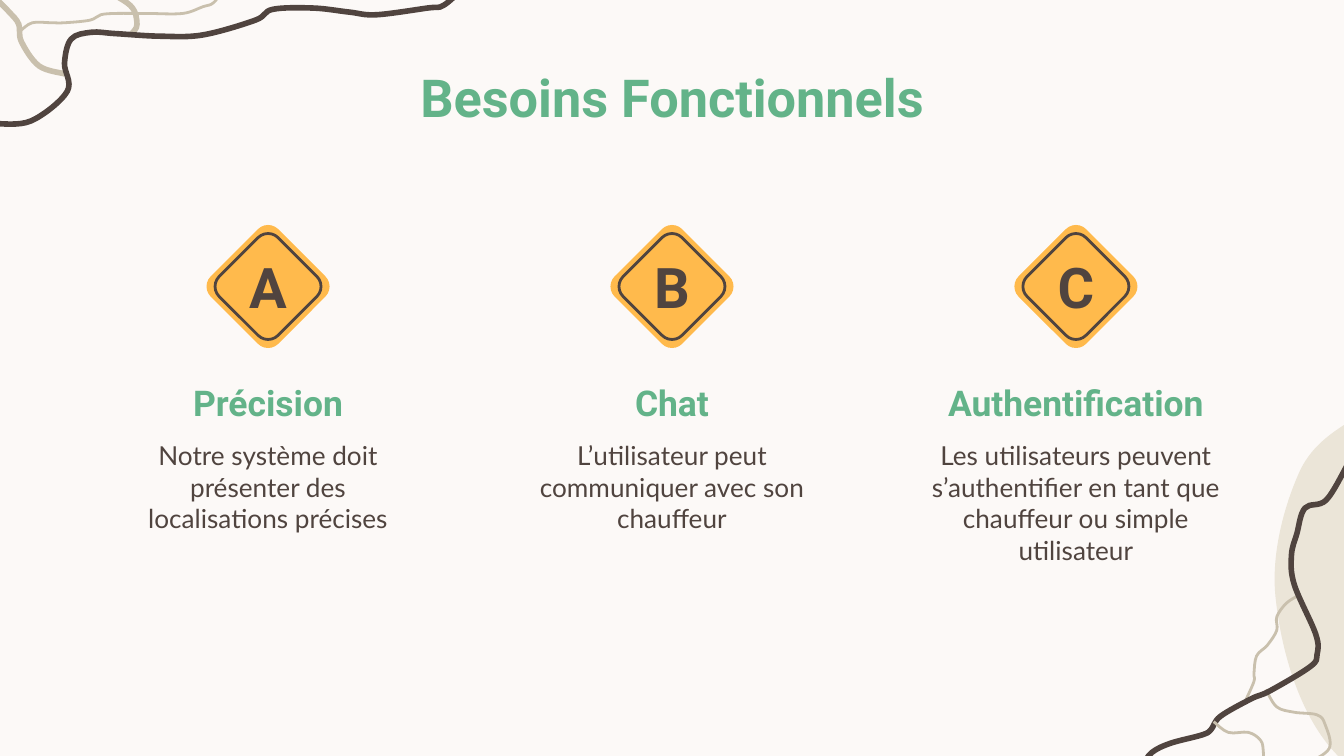
from dataclasses import dataclass

from lxml.etree import SubElement
from pptx import Presentation
from pptx.dml.color import RGBColor
from pptx.enum.shapes import MSO_SHAPE
from pptx.enum.text import MSO_ANCHOR, PP_ALIGN
from pptx.oxml.ns import qn
from pptx.util import Pt


@dataclass(frozen=True)
class Theme:
    paper: str = "FCF9F7"
    sand: str = "EBE5D8"
    taupe: str = "C9C0AD"
    brown: str = "50443F"
    green: str = "63B389"
    amber: str = "FFBA4C"
    display: str = "Roboto"
    text: str = "Lato"
    title_size: float = 28
    letter_size: float = 30
    heading_size: float = 19
    body_size: float = 14
    thick: float = 3
    thin: float = 1.5


THEME = Theme()
CENTRE_X, COLUMN_STEP = 360, 216.4
SIGN_Y = 153.5

NEEDS = [
    ("A", "Précision", "Notre système doit présenter des localisations précises"),
    ("B", "Chat", "L’utilisateur peut communiquer avec son chauffeur"),
    ("C", "Authentification",
     "Les utilisateurs peuvent s’authentifier en tant que chauffeur ou simple utilisateur"),
]

BLOB = [
    (764.6, 217.4), (751.7, 216.7), (727.2, 223.2), (696.2, 252.7), (683.3, 319.7),
    (711.4, 398.9), (789.8, 453.6), (825.8, 463.7), (914.4, 457.2), (975.6, 406.8),
    (1003.7, 347), (986.4, 289.4), (970.6, 283), (939.6, 288), (899.3, 335.5),
    (869, 352.8), (856.1, 352.8), (836.6, 341.3), (825.8, 293), (805.7, 242.6),
]

# Each strand: colour, width, points it passes through
STRANDS = [
    (THEME.taupe, THEME.thick, [(70.6, 18), (73.4, 13), (69.8, 2.9), (52.6, -7.2)]),
    (THEME.taupe, THEME.thin, [
        (678.2, 369.4), (684, 378.7), (693.4, 381.6), (705.6, 383), (709.9, 388.1),
        (712.1, 401), (699.1, 409.7)]),
    (THEME.taupe, THEME.thin, [
        (695.5, 319), (689, 323.3), (684, 330.5), (684, 337.7), (679, 345.6),
        (673.2, 351.4), (671.8, 360.7), (671.8, 365), (667.4, 375.1)]),
    (THEME.brown, THEME.thick, [
        (722.2, 248.4), (710.6, 267.8), (699.1, 272.2), (694.8, 285.8), (691.9, 297.4),
        (693.4, 313.2), (704.9, 339.8), (705.6, 350.6), (702, 357.1), (680.4, 370.1),
        (670.3, 374.4), (653.8, 383.8), (648.7, 391), (643.7, 393.8), (627.1, 398.2),
        (617, 403.2), (612, 410.4)]),
    (THEME.taupe, THEME.thin, [
        (650.2, 386.6), (658.1, 392.4), (668.9, 392.4), (675.4, 396.7), (676.8, 402.5),
        (676.8, 409.7)]),
    (THEME.taupe, THEME.thick, [
        (34.6, 39.6), (20.9, 35.3), (11.5, 22.3), (10.1, 13), (5, 6.5), (-2.2, -0.7)]),
    (THEME.brown, THEME.thick, [
        (-3.6, 66.2), (16.6, 64.8), (36, 49), (34.6, 33.8), (38.2, 20.9), (49, 17.3),
        (61.9, 18), (85.7, 19.4), (108.7, 18.7), (136.8, 10.8), (146.2, 5), (167.8, 4.3),
        (187.2, 6.5), (201.6, 7.9), (229, 4.3), (237.6, 2.9), (248.4, -6.5)]),
    (THEME.taupe, THEME.thin, [
        (10.8, 16.6), (17.3, 12.2), (27.4, 12.2), (34.6, 12.2), (48.2, 10.8), (54, 7.9),
        (61.9, 7.2), (73.4, 7.2), (79.9, 7.2), (97.9, 7.2), (108.7, 3.6), (114.5, 1.4),
        (120.2, -6.5)]),
]


def colour(code):
    return RGBColor.from_string(code)


def bend_segments(shape, points, closed):
    """Turn the straight segments of a freeform into smooth Bézier curves."""
    local = [(x - shape.left, y - shape.top) for x, y in points]
    if closed:
        nodes = [local[-1], *local, *local[:2]]
    else:
        nodes = [local[0], *local, local[-1]]
    segments = list(shape._element.iter(qn("a:lnTo")))
    for segment, before, start, end, after in zip(
            segments, nodes, nodes[1:], nodes[2:], nodes[3:]):
        leave = [s + (e - b) / 6 for b, s, e in zip(before, start, end)]
        arrive = [e - (a - s) / 6 for s, e, a in zip(start, end, after)]
        curve = segment.getparent().makeelement(qn("a:cubicBezTo"))
        for x, y in (leave, arrive, end):
            SubElement(curve, qn("a:pt"), x=str(round(x)), y=str(round(y)))
        segment.getparent().replace(segment, curve)


def style(shape, fill=None, line=None, width=THEME.thin):
    shape.shadow.inherit = False
    if fill:
        shape.fill.solid()
        shape.fill.fore_color.rgb = colour(fill)
    else:
        shape.fill.background()
    if line:
        shape.line.color.rgb = colour(line)
        shape.line.width = Pt(width)
    else:
        shape.line.fill.background()


def add_curve(page, points, closed=False, **look):
    points = [(Pt(x), Pt(y)) for x, y in points]
    builder = page.shapes.build_freeform(*points[0])
    builder.add_line_segments(points[1:] + points[:1] * closed, close=closed)
    shape = builder.convert_to_shape()
    bend_segments(shape, points, closed)
    style(shape, **look)


def add_diamond(page, centre_x, side, corner, **look):
    diamond = page.shapes.add_shape(
        MSO_SHAPE.ROUNDED_RECTANGLE, Pt(centre_x - side / 2), Pt(SIGN_Y - side / 2),
        Pt(side), Pt(side))
    diamond.adjustments[0] = corner
    diamond.rotation = 45
    style(diamond, **look)


def add_text(page, text, centre_x, top, width, height, size, ink,
             font=THEME.display, bold=True, anchor=MSO_ANCHOR.MIDDLE):
    box = page.shapes.add_textbox(Pt(centre_x - width / 2), Pt(top), Pt(width), Pt(height))
    frame = box.text_frame
    frame.word_wrap = True
    frame.vertical_anchor = anchor
    frame.margin_left = frame.margin_right = Pt(7.2)
    frame.margin_top = frame.margin_bottom = Pt(7.2)
    para = frame.paragraphs[0]
    para.alignment = PP_ALIGN.CENTER
    span = para.add_run()
    span.text = text
    span.font.name = font
    span.font.size = Pt(size)
    span.font.bold = bold
    span.font.color.rgb = colour(ink)


def add_need(page, centre_x, letter, heading, body):
    add_diamond(page, centre_x, 51.1, 0.15, fill=THEME.amber)
    add_diamond(page, centre_x, 44.6, 0.17, line=THEME.brown)
    add_text(page, letter, centre_x, 132.5, 97.2, 41.8, THEME.letter_size, THEME.brown)
    add_text(page, heading, centre_x, 192.2, 203.8, 41.8, THEME.heading_size,
             THEME.green, anchor=MSO_ANCHOR.BOTTOM)
    add_text(page, body, centre_x, 228.4, 174.2, 59, THEME.body_size, THEME.brown,
             font=THEME.text, bold=False, anchor=MSO_ANCHOR.TOP)


def main():
    deck = Presentation()
    deck.slide_width, deck.slide_height = Pt(720), Pt(405)
    page = deck.slides.add_slide(deck.slide_layouts[6])
    page.background.fill.solid()
    page.background.fill.fore_color.rgb = colour(THEME.paper)

    add_curve(page, BLOB, closed=True, fill=THEME.sand)
    for ink, width, points in STRANDS:
        add_curve(page, points, line=ink, width=width)

    add_text(page, "Besoins Fonctionnels", CENTRE_X, 29.2, 600.5, 45.4,
             THEME.title_size, THEME.green)
    for column, need in enumerate(NEEDS):
        add_need(page, CENTRE_X + (column - 1) * COLUMN_STEP, *need)

    deck.save("out.pptx")


if __name__ == "__main__":
    main()
